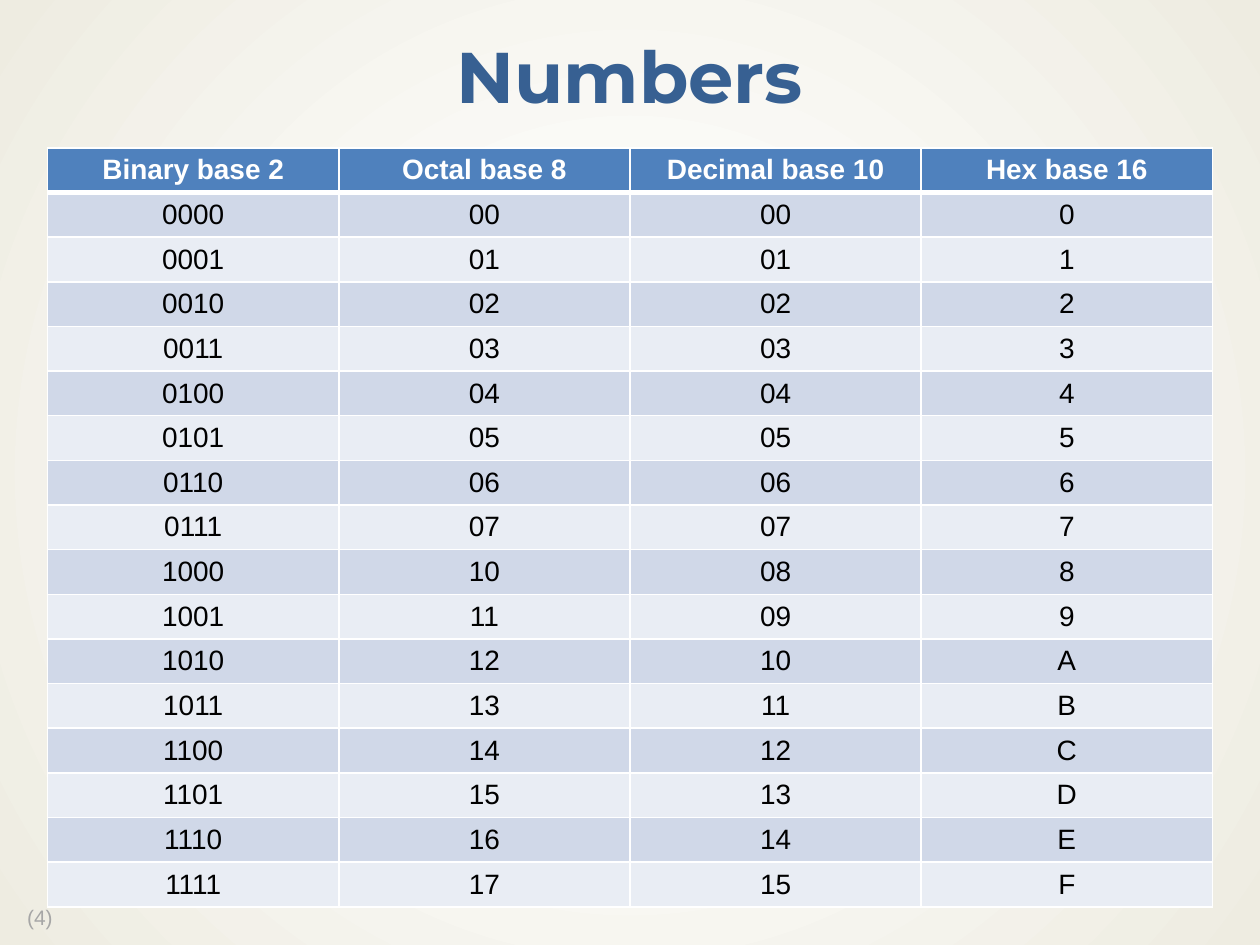
from dataclasses import dataclass

from pptx import Presentation
from pptx.dml.color import RGBColor
from pptx.enum.text import MSO_ANCHOR as ANCHOR, MSO_AUTO_SIZE as FIT, PP_ALIGN as ALIGN
from pptx.oxml import parse_xml
from pptx.oxml.ns import nsdecls
from pptx.util import Cm, Pt


@dataclass(frozen=True)
class Theme:
    title_font: str = "Montserrat"
    body_font: str = "Arial"
    title_size: int = 41
    cell_size: int = 16
    number_size: int = 12
    title: str = "376092"
    number: str = "A6A6A6"
    header: str = "4F81BD"
    bands: tuple = ("D0D8E8", "E9EDF4")
    light: str = "FFFFFF"
    dark: str = "000000"
    edge: str = "EEECE1"
    line: int = 1
    header_line: int = 3
    cell_margin: float = 0.09


class Deck:
    def __init__(self, prs, theme):
        self.theme = theme
        self.s = prs.slides.add_slide(prs.slide_layouts[5])

    def background(self):
        t = self.theme
        self.s.background.fill.solid()
        bg = self.s._element.cSld.bg.bgPr
        bg.replace(bg[0], parse_xml(
            f'<a:gradFill {nsdecls("a")} rotWithShape="1"><a:gsLst>'
            f'<a:gs pos="18000"><a:srgbClr val="{t.light}"><a:alpha val="53000"/></a:srgbClr></a:gs>'
            f'<a:gs pos="100000"><a:srgbClr val="{t.edge}"/></a:gs></a:gsLst>'
            '<a:path path="circle"><a:fillToRect l="50000" t="50000" r="50000" b="50000"/></a:path>'
            '</a:gradFill>'))

    def run(self, p, text, font, size, color, bold=False):
        r = p.add_run()
        r.text = text
        r.font.name, r.font.size, r.font.bold = font, Pt(size), bold
        r.font.color.rgb = RGBColor.from_string(color)

    def title(self, text, left, top, width, height):
        t = self.theme
        sp = self.s.shapes.title
        sp.left, sp.top, sp.width, sp.height = Cm(left), Cm(top), Cm(width), Cm(height)
        tf = sp.text_frame
        tf.vertical_anchor = ANCHOR.MIDDLE
        tf.auto_size = FIT.NONE
        p = tf.paragraphs[0]
        p.alignment, p.line_spacing = ALIGN.CENTER, 0.9
        self.run(p, text, t.title_font, t.title_size, t.title, True)

    def page_number(self, text, left, top, width, height):
        t = self.theme
        sp = self.s.shapes.add_textbox(Cm(left), Cm(top), Cm(width), Cm(height))
        tf = sp.text_frame
        tf.word_wrap = False
        p = tf.paragraphs[0]
        p.line_spacing = 0.9
        self.run(p, text, t.body_font, t.number_size, t.number)

    def borders(self, cell, row):
        t = self.theme
        widths = {"L": t.line, "R": t.line,
                  "T": t.header_line if row == 1 else t.line,
                  "B": t.header_line if row == 0 else t.line}
        tc_pr = cell._tc.get_or_add_tcPr()
        for i, (side, width) in enumerate(widths.items()):
            tc_pr.insert(i, parse_xml(
                f'<a:ln{side} {nsdecls("a")} w="{Pt(width)}"><a:solidFill>'
                f'<a:srgbClr val="{t.light}"/></a:solidFill></a:ln{side}>'))

    def table(self, rows, left, top, width, row_height):
        t = self.theme
        frame = self.s.shapes.add_table(
            len(rows), len(rows[0]), Cm(left), Cm(top), Cm(width), Cm(row_height * len(rows)))
        for i, row in enumerate(rows):
            head = i == 0
            fill = t.header if head else t.bands[(i - 1) % 2]
            for j, text in enumerate(row):
                cell = frame.table.cell(i, j)
                cell.margin_top = cell.margin_bottom = Cm(t.cell_margin)
                cell.vertical_anchor = ANCHOR.MIDDLE
                cell.fill.solid()
                cell.fill.fore_color.rgb = RGBColor.from_string(fill)
                self.borders(cell, i)
                p = cell.text_frame.paragraphs[0]
                p.alignment = ALIGN.CENTER
                self.run(p, text, t.body_font, t.cell_size, t.light if head else t.dark, head)


def main():
    prs = Presentation()
    prs.slide_width, prs.slide_height = Cm(25.4), Cm(19.05)
    deck = Deck(prs, Theme())
    deck.background()
    deck.page_number(" (4)", 0.18, 18.16, 1.42, 0.71)
    deck.title("Numbers", 0, 0.43, 25.4, 2.39)
    header = ["Binary base 2", "Octal base 8", "Decimal base 10", "Hex base 16"]
    numbers = [[f"{n:04b}", f"{n:02o}", f"{n:02d}", f"{n:X}"] for n in range(16)]
    deck.table([header] + numbers, 0.96, 2.98, 23.48, 0.9)
    prs.save("out.pptx")


if __name__ == "__main__":
    main()
